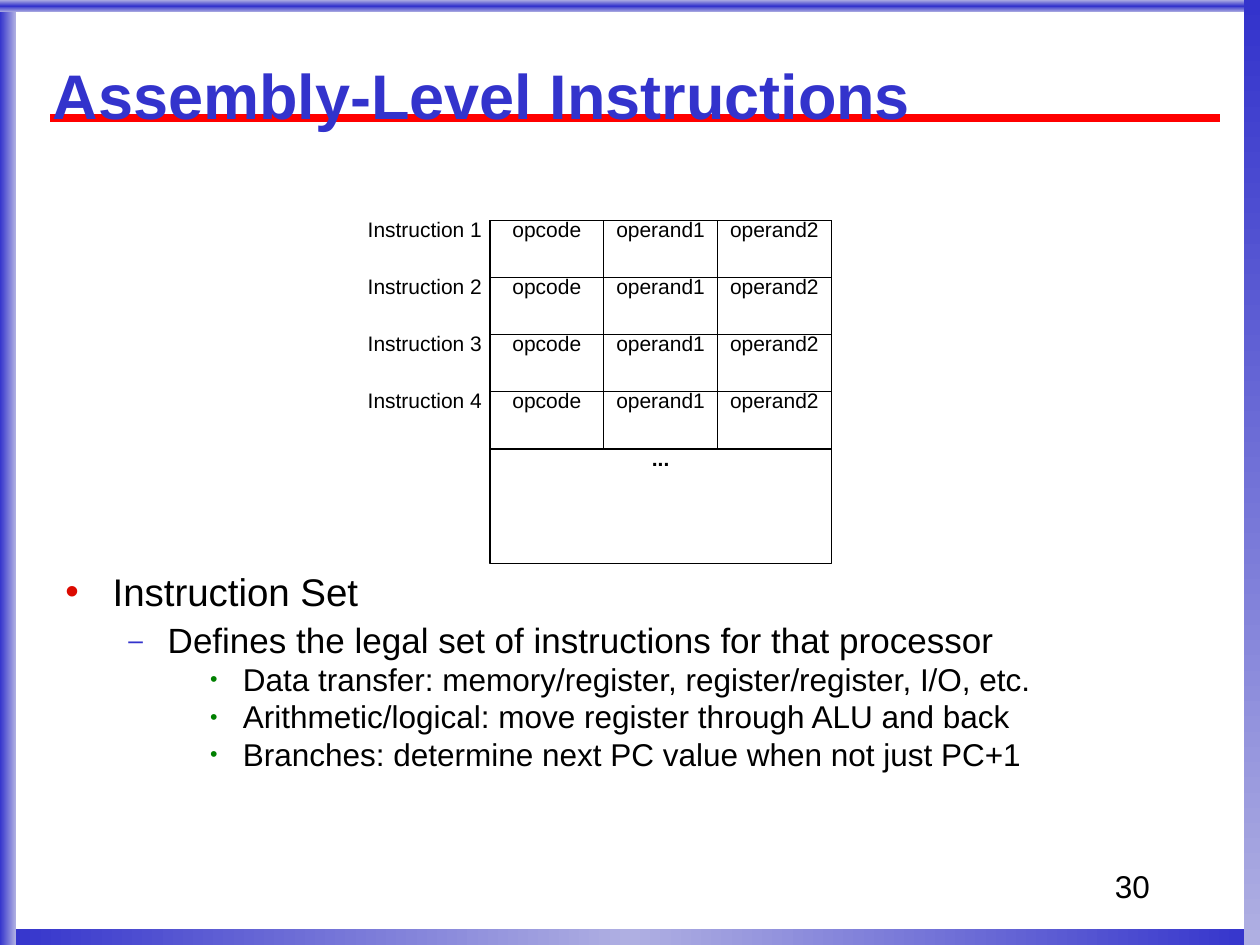
from dataclasses import dataclass

from lxml import etree
from pptx import Presentation
from pptx.dml.color import RGBColor
from pptx.enum import shapes, text
from pptx.oxml import parse_xml
from pptx.oxml.ns import nsdecls, qn
from pptx.util import Pt

BLUE = RGBColor(0x33, 0x33, 0xCC)
PALE = RGBColor(0xAF, 0xAF, 0xE2)
RED = RGBColor(0xFF, 0x00, 0x00)
BULLET_RED = RGBColor(0xDC, 0x0A, 0x00)
GREEN = RGBColor(0x00, 0x80, 0x00)
BLACK = RGBColor(0x00, 0x00, 0x00)
WHITE = RGBColor(0xFF, 0xFF, 0xFF)

FONT = "Arial"
WIDTH, HEIGHT = 720, 540
LEFT, TOP = 280, 126
CELL_W, CELL_H = 65, 32.64
FIELDS = ["opcode", "operand1", "operand2"]
INSTRUCTIONS = 4
NO_INSETS = (0, 0, 0, 0)
BODY_INSETS = (7.2, 3.6, 7.2, 3.6)


@dataclass
class Box:
    x: float
    y: float
    w: float
    h: float

    def lengths(self) -> list:
        return [Pt(v) for v in (self.x, self.y, self.w, self.h)]


@dataclass
class Bar:
    box: Box
    colors: list
    angle: int


@dataclass
class Level:
    size: int
    margin: float
    hanging: float
    before: int
    bullet: str
    color: RGBColor
    bullet_size: int


BARS = [
    Bar(Box(0, 531, WIDTH, 9), [BLUE, PALE, BLUE], 0),
    Bar(Box(0, 0, 9, HEIGHT), [BLUE, PALE], 0),
    Bar(Box(0, 0, WIDTH, 7), [PALE, BLUE, PALE], 90),
    Bar(Box(711, 0, 9, HEIGHT), [BLUE, PALE], 90),
]
LEVELS = [
    Level(22, 27, 27, 50, "•", BULLET_RED, 100),
    Level(20, 58.5, 22.5, 25, "–", BLUE, 75),
    Level(18, 101.5, 18.75, 10, "•", GREEN, 68),
]
BODY = [
    (0, "Instruction Set"),
    (1, "Defines the legal set of instructions for that processor"),
    (2, "Data transfer: memory/register, register/register, I/O, etc."),
    (2, "Arithmetic/logical: move register through ALU and back"),
    (2, "Branches: determine next PC value when not just PC+1"),
]


def draw_bar(s, bar: Bar) -> None:
    sp = s.shapes.add_shape(shapes.MSO_SHAPE.RECTANGLE, *bar.box.lengths())
    sp.shadow.inherit = False
    sp.line.fill.background()
    step = 100000 // (len(bar.colors) - 1)
    stops = "".join(
        f'<a:gs pos="{i * step}"><a:srgbClr val="{color}"/></a:gs>'
        for i, color in enumerate(bar.colors)
    )
    fill = parse_xml(
        f'<a:gradFill {nsdecls("a")}><a:gsLst>{stops}</a:gsLst>'
        f'<a:lin ang="{bar.angle * 60000}" scaled="0"/></a:gradFill>'
    )
    sp.fill.background()
    props = sp.fill._xPr
    props.replace(props.find(qn("a:noFill")), fill)


def set_frame(sp, insets: tuple, anchor=text.MSO_ANCHOR.TOP):
    tf = sp.text_frame
    left, top, right, bottom = map(Pt, insets)
    frame_format = {
        "word_wrap": True, "vertical_anchor": anchor,
        "margin_left": left, "margin_top": top,
        "margin_right": right, "margin_bottom": bottom,
    }
    for name, value in frame_format.items():
        setattr(tf, name, value)
    return tf


def write(p, words: str, size: int, color=BLACK, bold=False,
          align=text.PP_ALIGN.LEFT, spacing=0.85):
    p.alignment, p.line_spacing = align, spacing
    r = p.add_run()
    r.text = words
    for name, value in {"name": FONT, "size": Pt(size), "bold": bold}.items():
        setattr(r.font, name, value)
    r.font.color.rgb = color
    return r


def add_text(parent, box: Box, words: str, size: int, insets=NO_INSETS,
             anchor=text.MSO_ANCHOR.TOP, **style):
    sp = parent.shapes.add_textbox(*box.lengths())
    return write(set_frame(sp, insets, anchor).paragraphs[0], words, size, **style)


def add_rect(parent, box: Box, filled=False):
    sp = parent.shapes.add_shape(shapes.MSO_SHAPE.RECTANGLE, *box.lengths())
    sp.shadow.inherit = False
    if filled:
        sp.fill.solid()
        sp.fill.fore_color.rgb = WHITE
    else:
        sp.fill.background()
    sp.line.color.rgb, sp.line.width = BLACK, Pt(0.75)
    return sp


def draw_rule(s) -> None:
    line = s.shapes.add_connector(
        shapes.MSO_CONNECTOR.STRAIGHT, Pt(28.8), Pt(67.5), Pt(697), Pt(67.5))
    line.line.color.rgb, line.line.width = RED, Pt(4.5)
    etree.SubElement(line._element.spPr, qn("a:effectLst"))


def draw_title(s) -> None:
    r = add_text(s, Box(30.25, 12.25, 660, 90), "Assembly-Level Instructions", 36,
                 anchor=text.MSO_ANCHOR.MIDDLE, color=BLUE, bold=True, spacing=0.87)
    shadow = parse_xml(
        f'<a:effectLst {nsdecls("a")}><a:outerShdw dist="35921" dir="2700000">'
        '<a:srgbClr val="B2B2B2"/></a:outerShdw></a:effectLst>'
    )
    r._r.rPr.find(qn("a:solidFill")).addnext(shadow)


def draw_memory(s) -> None:
    """Draw the instruction words as rows of fields, with labels on the left."""
    group = s.shapes.add_group_shape()
    add_rect(group, Box(LEFT, TOP, CELL_W * len(FIELDS), CELL_H * 6), filled=True)
    for row in range(INSTRUCTIONS):
        y = TOP + row * CELL_H
        for col, field in enumerate(FIELDS):
            sp = add_rect(group, Box(LEFT + col * CELL_W, y, CELL_W, CELL_H))
            write(set_frame(sp, NO_INSETS).paragraphs[0], field, 12,
                  align=text.PP_ALIGN.CENTER)
        add_text(group, Box(192, y, 83.5, CELL_H), f"Instruction {row + 1}", 12,
                 align=text.PP_ALIGN.RIGHT)
    add_text(group, Box(LEFT + CELL_W, TOP + INSTRUCTIONS * CELL_H, CELL_W, CELL_H),
             "...", 12, bold=True, align=text.PP_ALIGN.CENTER)


def set_bullet(p, level: Level) -> None:
    pPr = p._p.get_or_add_pPr()
    pPr.set("marL", str(Pt(level.margin)))
    pPr.set("indent", str(-Pt(level.hanging)))
    before = etree.SubElement(pPr, qn("a:spcBef"))
    etree.SubElement(before, qn("a:spcPct"), val=str(level.before * 1000))
    color = etree.SubElement(pPr, qn("a:buClr"))
    etree.SubElement(color, qn("a:srgbClr"), val=str(level.color))
    etree.SubElement(pPr, qn("a:buSzPct"), val=str(level.bullet_size * 1000))
    etree.SubElement(pPr, qn("a:buFont"), typeface=FONT)
    etree.SubElement(pPr, qn("a:buChar"), char=level.bullet)


def draw_body(s) -> None:
    sp = s.shapes.add_textbox(*Box(30.25, 324, 660, 150).lengths())
    tf = set_frame(sp, BODY_INSETS)
    for i, (depth, words) in enumerate(BODY):
        p = tf.add_paragraph() if i else tf.paragraphs[0]
        p.level = depth
        write(p, words, LEVELS[depth].size, spacing=0.9)
        set_bullet(p, LEVELS[depth])


def main() -> None:
    prs = Presentation()
    prs.slide_width, prs.slide_height = Pt(WIDTH), Pt(HEIGHT)
    s = prs.slides.add_slide(prs.slide_layouts[6])
    for bar in BARS:
        draw_bar(s, bar)
    draw_rule(s)
    add_text(s, Box(630, 492, 72, 36), "30", 18, insets=BODY_INSETS, spacing=1.0)
    draw_title(s)
    draw_memory(s)
    draw_body(s)
    prs.save("out.pptx")


if __name__ == "__main__":
    main()
